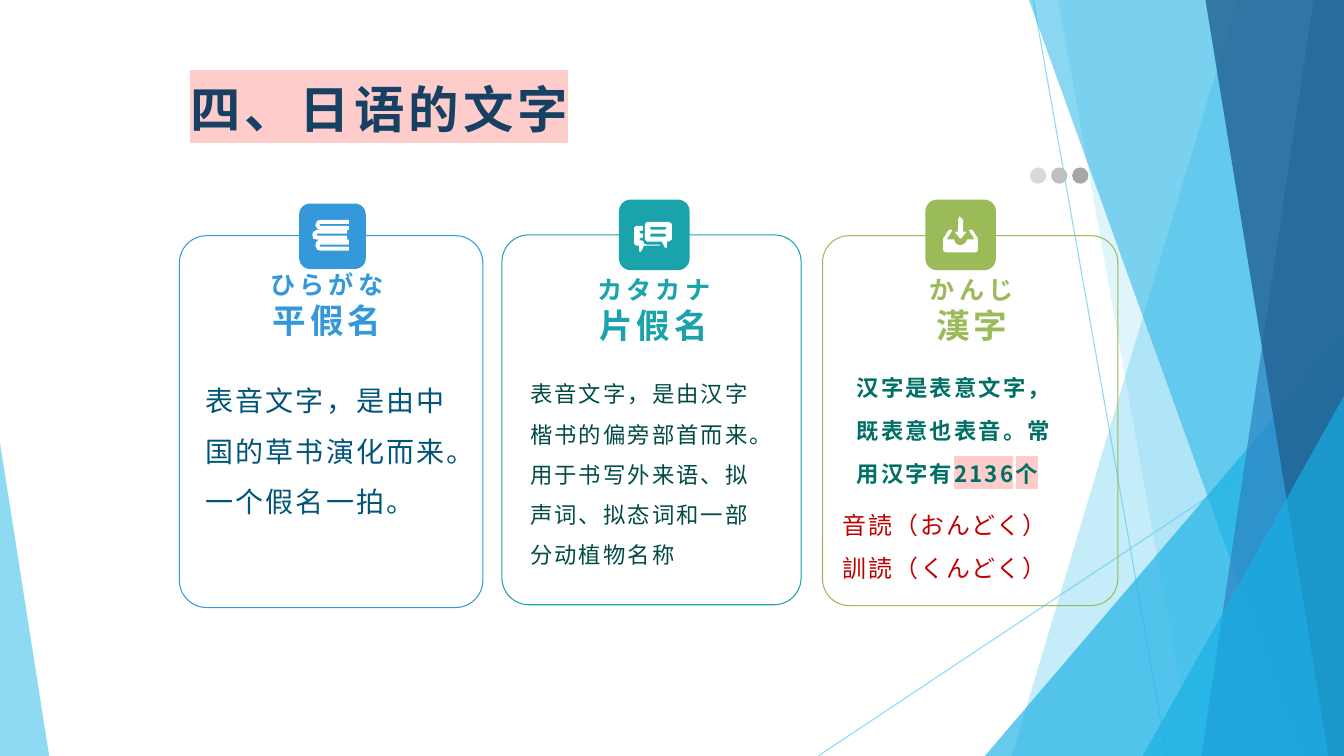
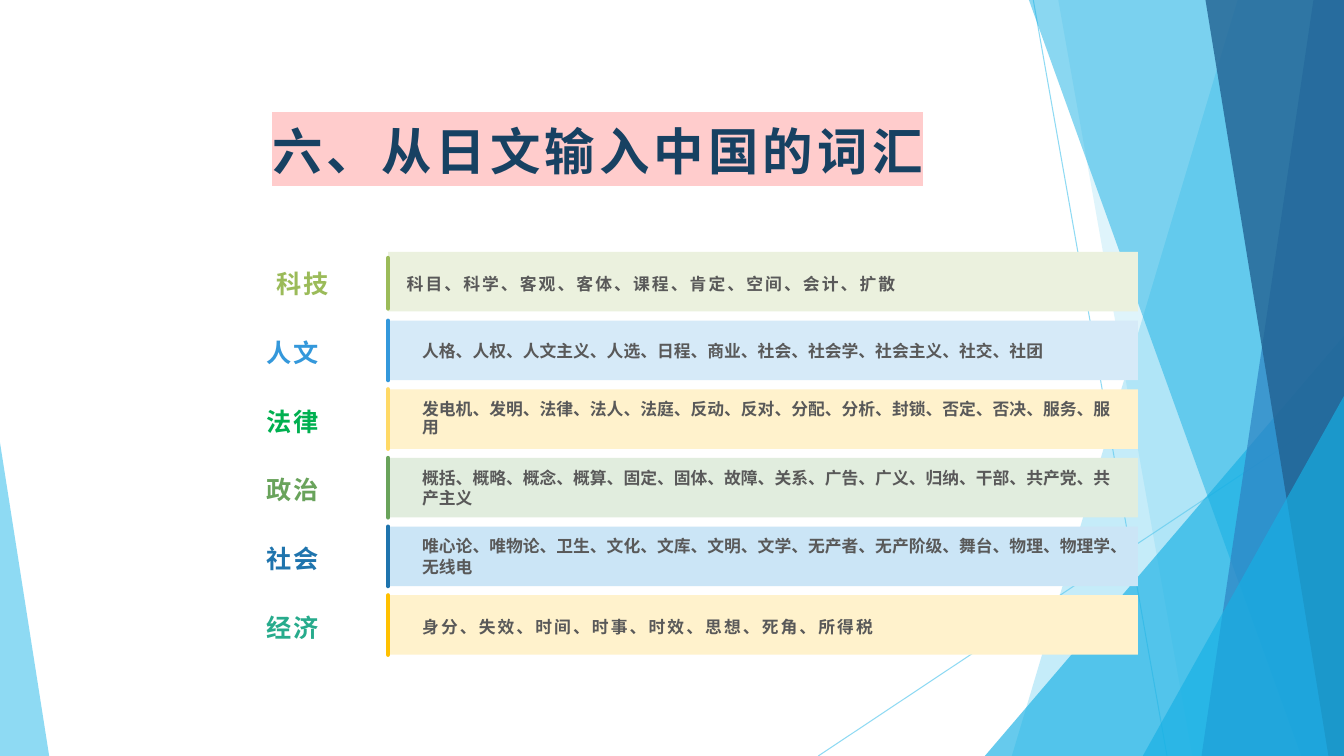
from lxml import etree
from pptx import Presentation
from pptx import util as u
from pptx.dml.color import RGBColor
from pptx.enum import shapes as s, text as t
from pptx.oxml import ns

WIDTH, HEIGHT = 33.87, 19.05
CJK, CJK_JP, LATIN = "Noto Sans CJK SC", "Noto Sans CJK JP", "Arial"

SKY = RGBColor(0x5F, 0xCB, 0xEF)
CYAN = RGBColor(0x17, 0xB0, 0xE4)
OCEAN = RGBColor(0x2E, 0x83, 0xC3)
DEEP = RGBColor(0x22, 0x62, 0x92)
NAVY = RGBColor(0x17, 0x41, 0x62)
PINK = RGBColor(0xFF, 0xCC, 0xCC)
WHITE = RGBColor(0xFF, 0xFF, 0xFF)
BLUE = RGBColor(0x34, 0x98, 0xDB)
TEAL = RGBColor(0x1A, 0xA3, 0xAA)
OLIVE = RGBColor(0x9B, 0xBB, 0x59)
INK_BLUE = RGBColor(0x01, 0x55, 0x7A)
INK_GREEN = RGBColor(0x00, 0x4B, 0x44)
INK_TEAL = RGBColor(0x00, 0x70, 0x66)
RED = RGBColor(0xC0, 0x00, 0x00)
GREY = RGBColor(0x59, 0x59, 0x59)
GREEN = RGBColor(0x00, 0xB0, 0x50)
LEAF = RGBColor(0x69, 0xA3, 0x5B)
STEEL = RGBColor(0x1F, 0x74, 0xAD)
MINT = RGBColor(0x27, 0xAB, 0x8C)
YELLOW = RGBColor(0xFF, 0xD9, 0x66)
AMBER = RGBColor(0xFF, 0xC0, 0x00)
PALE_OLIVE = RGBColor(0xEB, 0xF1, 0xDE)
PALE_BLUE = RGBColor(0xD6, 0xEA, 0xF8)
PALE_YELLOW = RGBColor(0xFF, 0xF2, 0xCC)
PALE_LEAF = RGBColor(0xE1, 0xED, 0xDE)
PALE_STEEL = RGBColor(0xCB, 0xE5, 0xF6)
DOT_GREYS = [RGBColor(v, v, v) for v in (0xD9, 0xBF, 0xA6)]

# Icon outlines on a grid of 1/40 cm
ICON_UNIT = u.Cm(1) / 40
BOOKS = [[(8, 27), (7, 26), (8, 25), (37, 25), (37, 20), (35, 20), (35, 16), (5, 16), (4, 15),
          (5, 14), (35, 14), (35, 10), (37, 10), (37, 6), (8, 6), (7, 5), (8, 4), (37, 4),
          (37, 0), (8, 0), (5, 1), (3, 5), (5, 9), (8, 10), (5, 10), (1, 12), (0, 15), (1, 19),
          (5, 20), (7, 20), (4, 22), (3, 26), (5, 30), (8, 31), (37, 31), (37, 27)]]
CHAT = [[(17, 12), (16, 14), (17, 15), (31, 15), (33, 14), (31, 12)],
        [(17, 5), (16, 6), (17, 8), (31, 8), (33, 6), (31, 5)],
        [(2, 4), (9, 4), (9, 9), (7, 9), (5, 10), (7, 12), (9, 12), (9, 16), (7, 16), (5, 17),
         (7, 19), (9, 19), (10, 22), (13, 23), (27, 23), (25, 24), (10, 24), (7, 30), (5, 30),
         (5, 24), (2, 24), (0, 22), (0, 6)],
        [(13, 0), (35, 0), (38, 2), (38, 18), (35, 20), (33, 20), (33, 26), (31, 26), (28, 20),
         (13, 20), (11, 18), (11, 2)]]
TRAY = [[(7, 13), (9, 13), (9, 14), (4, 22), (4, 23), (11, 23), (12, 26), (14, 28), (17, 29),
         (20, 28), (23, 26), (24, 23), (31, 23), (31, 22), (26, 14), (26, 13), (28, 13), (30, 14),
         (35, 22), (35, 34), (33, 36), (2, 36), (0, 34), (0, 22), (5, 14)],
        [(17, 0), (20, 3), (20, 15), (22, 15), (23, 16), (18, 22), (17, 22), (12, 16), (13, 15),
         (15, 15), (15, 3), (16, 0)]]


def cm(*lengths):
    return [u.Cm(length) for length in lengths]


def make_element(tag, **attributes):
    return etree.Element(ns.qn(tag), **attributes)


class Deck:
    def __init__(self):
        self.prs = Presentation()
        self.prs.slide_width, self.prs.slide_height = cm(WIDTH, HEIGHT)
        self.layout = self.prs.slide_layouts[5]
        self.slide = None

    def new_slide(self, title, box, face=CJK):
        self.slide = self.prs.slides.add_slide(self.layout)
        heading = self.slide.shapes.title
        heading.left, heading.top, heading.width, heading.height = cm(*box)
        style = dict(size=36, color=NAVY, bold=True, spacing=3, highlight=PINK, face=face)
        self.set_text(heading.text_frame, [[(title, style)]], margins=(0.18, 0.1))

    def share(self, parts):
        """Move parts of the current slide to the layout, behind its placeholders."""
        for position, part in enumerate(parts, 2):
            self.layout.shapes.element.insert(position, part._element)

    def style_run(self, run, size, color, bold=False, spacing=0, highlight=None, face=CJK):
        for name, value in dict(size=u.Pt(size), bold=bold, name=face).items():
            setattr(run.font, name, value)
        run.font.color.rgb = color
        props = run._r.get_or_add_rPr()
        props.set("spc", str(round(spacing * 100)))
        east_asian = CJK if face == LATIN else face
        props.find(ns.qn("a:latin")).addnext(make_element("a:ea", typeface=east_asian))
        if highlight is not None:
            mark = make_element("a:highlight")
            mark.append(make_element("a:srgbClr", val=str(highlight)))
            props.find(ns.qn("a:solidFill")).addnext(mark)

    def set_text(self, frame, paragraphs, align=t.PP_ALIGN.LEFT, anchor=t.MSO_ANCHOR.MIDDLE,
                 leading=None, margins=(0.25, 0.13)):
        """Fill a frame; each paragraph is a list of (text, run style)."""
        side, edge = cm(*margins)
        settings = dict(word_wrap=True, auto_size=t.MSO_AUTO_SIZE.NONE, vertical_anchor=anchor,
                        margin_left=side, margin_right=side, margin_top=edge, margin_bottom=edge)
        for name, value in settings.items():
            setattr(frame, name, value)
        for index, runs in enumerate(paragraphs):
            paragraph = frame.add_paragraph() if index else frame.paragraphs[0]
            paragraph.alignment = align
            if leading:
                paragraph.line_spacing = leading
            for words, style in runs:
                run = paragraph.add_run()
                run.text = words
                self.style_run(run, **style)

    def text(self, box, paragraphs, **layout):
        self.set_text(self.slide.shapes.add_textbox(*cm(*box)).text_frame, paragraphs, **layout)

    def paint(self, shape, fill=None, outline=None, opacity=100):
        shape.shadow.inherit = False
        if fill is None:
            shape.fill.background()
        else:
            shape.fill.solid()
            shape.fill.fore_color.rgb = fill
            self.fade(shape, opacity)
        if outline is None:
            shape.line.fill.background()
        else:
            shape.line.color.rgb = outline
            shape.line.width = u.Pt(0.75)
        return shape

    def fade(self, shape, opacity):
        if opacity < 100:
            color = next(shape._element.spPr.iter(ns.qn("a:srgbClr")))
            color.append(make_element("a:alpha", val=str(opacity * 1000)))

    def shape(self, kind, box, adjust=None, **look):
        shape = self.slide.shapes.add_shape(kind, *cm(*box))
        if adjust is not None:
            shape.adjustments[0] = adjust
        return self.paint(shape, **look)

    def outline(self, contours, origin=(0, 0), scale=1.0, **look):
        builder = self.slide.shapes.build_freeform(*contours[0][0], scale=scale)
        builder.add_line_segments(contours[0][1:], close=True)
        for start, *rest in contours[1:]:
            builder.move_to(*start)
            builder.add_line_segments(rest, close=True)
        return self.paint(builder.convert_to_shape(*cm(*origin)), **look)

    def line(self, ends, color, width, opacity=100, cap="flat"):
        line = self.slide.shapes.add_connector(s.MSO_CONNECTOR.STRAIGHT, *cm(*ends))
        line.line.color.rgb = color
        line.line.width = u.Pt(width)
        line.line._ln.set("cap", cap)
        self.fade(line, opacity)
        line._element.spPr.append(make_element("a:effectLst"))
        return line

    def panel(self, top_x, bottom_x, color, opacity):
        """Full-height panel with a slanted left edge, reaching the right side."""
        corners = [(top_x, 0), (WIDTH, 0), (WIDTH, HEIGHT), (bottom_x, HEIGHT)]
        return self.outline([[cm(*corner) for corner in corners]], fill=color, opacity=opacity)

    def wedge(self, left, top, width, apex, color, opacity):
        """Triangle standing on the bottom edge; apex is 0 for left, 1 for right."""
        return self.shape(s.MSO_SHAPE.ISOSCELES_TRIANGLE, (left, top, width, HEIGHT - top), apex,
                          fill=color, opacity=opacity)

    def backdrop(self):
        self.share([
            self.line((26.04, 0, 29.41, HEIGHT), SKY, 0.75, 70),
            self.line((WIDTH, 10.24, 20.62, HEIGHT), SKY, 0.75, 70),
            self.panel(31.19, 25.5, SKY, 36),
            self.panel(26.67, 30.05, SKY, 20),
            self.wedge(24.82, 8.46, WIDTH - 24.82, 1, CYAN, 66),
            self.panel(25.93, 32.79, CYAN, 50),
            self.panel(33.1, 30.28, OCEAN, 70),
            self.panel(30.38, 33.48, DEEP, 80),
            self.wedge(28.8, 9.98, WIDTH - 28.8, 1, CYAN, 66),
            self.wedge(0, 11.15, 1.24, 0, SKY, 70),
        ])

    def card(self, color, frame, badge, icon, icon_at, kana, kanji, heading_box):
        rounded = s.MSO_SHAPE.ROUNDED_RECTANGLE
        self.shape(rounded, frame, 0.09, outline=color)
        self.shape(rounded, badge, fill=color)
        self.outline(icon, icon_at, ICON_UNIT, fill=WHITE)
        style = dict(color=color, bold=True, spacing=3)
        self.text(heading_box, [[(kana, dict(style, size=18))], [(kanji, dict(style, size=24))]],
                  align=t.PP_ALIGN.CENTER)

    def passage(self, box, paragraphs, leading=1.5):
        self.text(box, paragraphs, anchor=t.MSO_ANCHOR.TOP, leading=leading)

    def vocabulary_row(self, top, topic, words, color, band, bar=None, label_x=5.49,
                       words_x=10.39, leading=None, spacing=0, face=LATIN, bar_inset=0.0):
        left, height = 9.78, 1.5
        self.shape(s.MSO_SHAPE.RECTANGLE, (left, top, 28.68 - left, height), fill=band)
        self.text((label_x, top + 0.24, 3.78, 1.07),
                  [[(topic, dict(size=18, color=color, bold=True, spacing=1.5, face=face))]],
                  align=t.PP_ALIGN.CENTER, anchor=t.MSO_ANCHOR.BOTTOM)
        self.text((words_x, top, 18.19, height),
                  [[(words, dict(size=12, color=GREY, bold=True, spacing=spacing, face=face))]],
                  leading=leading)
        self.line((left, top + bar_inset, left, top + height - bar_inset / 2), bar or color, 3,
                  cap="rnd")


def build_scripts(deck):
    deck.new_slide("四、日语的文字", (4.62, 1.75, 11.86, 1.96))
    deck.backdrop()
    for index, grey in enumerate(DOT_GREYS):
        deck.shape(s.MSO_SHAPE.OVAL, (25.96 + 0.53 * index, 4.22, 0.41, 0.41), fill=grey)

    deck.card(BLUE, (4.52, 5.94, 7.65, 9.37), (7.54, 5.13, 1.68, 1.65), BOOKS, (7.87, 5.54),
              "ひらがな", "平假名", (4.47, 6.65, 7.54, 2.06))
    deck.card(TEAL, (12.65, 5.92, 7.54, 9.32), (15.6, 5.03, 1.78, 1.78), CHAT, (15.98, 5.59),
              "カタカナ", "片假名", (13.59, 6.78, 5.77, 2.06))
    deck.card(OLIVE, (20.73, 5.94, 7.44, 9.32), (23.32, 5.03, 1.78, 1.78), TRAY, (23.77, 5.46),
              "かんじ", "漢字", (21.34, 6.78, 6.3, 2.06))

    hiragana = dict(size=20, color=INK_BLUE, spacing=1.5)
    katakana = dict(size=16, color=INK_GREEN, spacing=1.5)
    kanji = dict(size=16, color=INK_TEAL, bold=True, spacing=1.5)
    reading = dict(size=17.1, color=RED, spacing=1.5)
    deck.passage((4.93, 9.12, 6.81, 4.5),
                 [[("表音文字，是由中国的草书演化而来。一个假名一拍。", hiragana)]])
    deck.passage((13.11, 9.12, 6.58, 5.46),
                 [[("表音文字，是由汉字楷书的偏旁部首而来。"
                    "用于书写外来语、拟声词、拟态词和一部分动植物名称", katakana)]])
    deck.passage((21.34, 8.89, 5.77, 4.19),
                 [[("汉字是表意文字，既表意也表音。常用汉字有", kanji),
                   ("2136个", dict(kanji, highlight=PINK))]], leading=1.6)
    deck.passage((20.98, 12.37, 6.12, 2.29),
                 [[("音読（おんどく）", reading)], [("訓読（くんどく）", reading)]])


def build_vocabulary(deck):
    deck.new_slide("六、从日文输入中国的词汇", (6.68, 2.77, 18.67, 2.06), CJK_JP)
    airy = dict(leading=1.2, spacing=1.5)
    rows = [
        ("科技", "科目、科学、客观、客体、课程、肯定、空间、会计、扩散", OLIVE, PALE_OLIVE,
         dict(airy, label_x=5.74, words_x=10, bar_inset=0.15)),
        ("人文", "人格、人权、人文主义、人选、日程、商业、社会、社会学、社会主义、社交、社团",
         BLUE, PALE_BLUE, {}),
        ("法律", "发电机、发明、法律、法人、法庭、反动、反对、分配、分析、封锁、否定、否决、服务、服用",
         GREEN, PALE_YELLOW, dict(bar=YELLOW, leading=0.9)),
        ("政治", "概括、概略、概念、概算、固定、固体、故障、关系、广告、广义、归纳、干部、共产党、共产主义",
         LEAF, PALE_LEAF, {}),
        ("社会", "唯心论、唯物论、卫生、文化、文库、文明、文学、无产者、无产阶级、舞台、物理、物理学、无线电",
         STEEL, PALE_STEEL, {}),
        ("经济", "身分、失效、时间、时事、时效、思想、死角、所得税", MINT, PALE_YELLOW,
         dict(airy, bar=AMBER, face=CJK)),
    ]
    for index, (topic, words, color, band, options) in enumerate(rows):
        deck.vocabulary_row(6.35 + 1.73 * index, topic, words, color, band, **options)


def main():
    deck = Deck()
    build_scripts(deck)
    build_vocabulary(deck)
    deck.prs.save("out.pptx")


if __name__ == "__main__":
    main()
